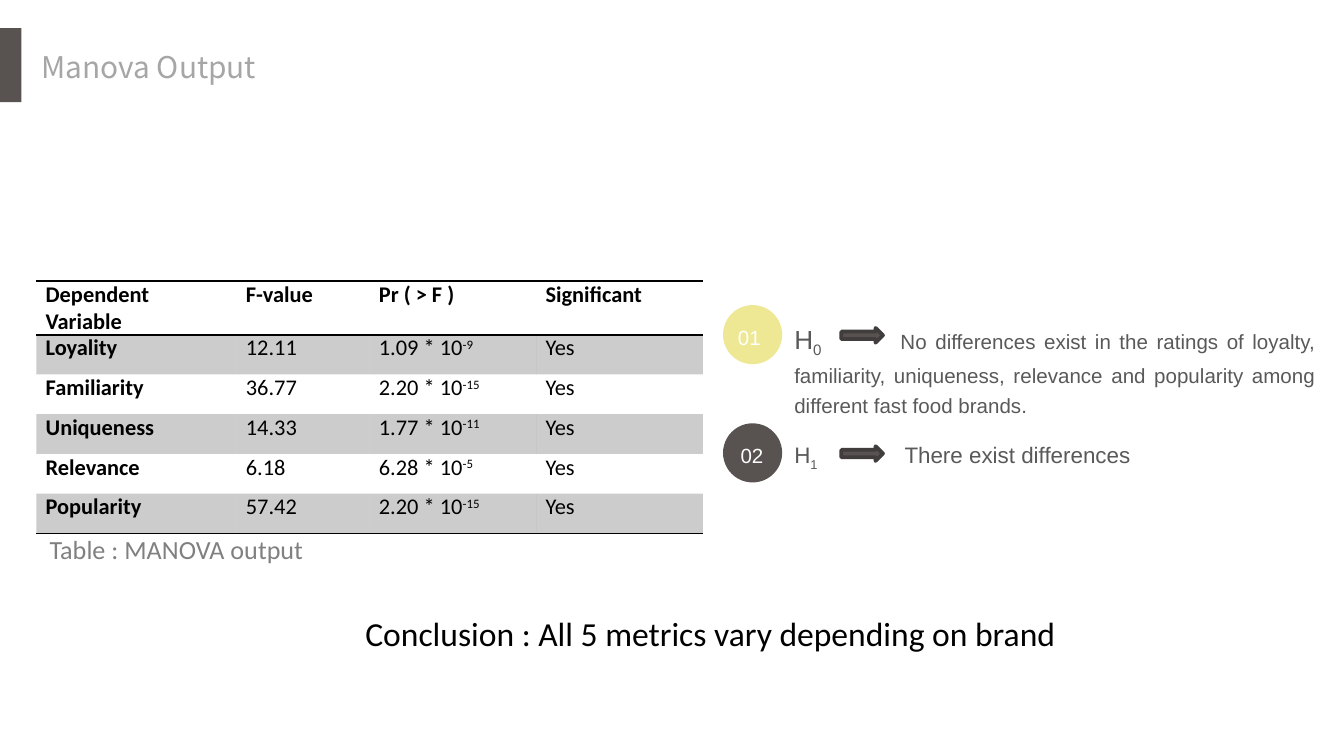
from dataclasses import dataclass
from lxml.etree import SubElement
from pptx import Presentation
from pptx.dml.color import RGBColor as RGB
from pptx.enum.shapes import MSO_SHAPE as Shape
from pptx.enum.text import MSO_ANCHOR as Anchor, MSO_AUTO_SIZE as Fit, PP_ALIGN as Align
from pptx.oxml.ns import qn
from pptx.util import Inches, Pt


@dataclass(frozen=True)
class Theme:
    dark: str = "585251"
    edge: str = "413D3C"
    lime: str = "EEE895"
    white: str = "FFFFFF"
    black: str = "000000"
    text: str = "595959"
    title: str = "A6A6A6"
    note: str = "808080"
    head: str = "Noto Sans CJK SC"
    sans: str = "Arial"
    body: str = "Calibri"
    small: float = 11
    cell: float = 12
    mid: float = 14
    large: float = 16
    huge: float = 18


@dataclass(frozen=True)
class Run:
    text: str
    size: float
    color: str
    font: str
    base: int = 0
    bold: bool = False


@dataclass(frozen=True)
class Claim:
    num: str
    top: float
    fill: str
    left: float
    box: tuple[float, float, float, float]
    tab: float
    runs: tuple[Run, ...]
    align: Align


@dataclass(frozen=True)
class Metric:
    name: str
    value: str
    base: str
    power: str


T = Theme()


def write(para, runs: tuple[Run, ...]) -> None:
    for item in runs:
        run = para.add_run()
        run.text = item.text
        font = run.font
        font.size, font.name, font.bold = Pt(item.size), item.font, item.bold
        font.color.rgb = RGB.from_string(item.color)
        if item.base:
            run._r.get_or_add_rPr().set("baseline", str(item.base * 1000))


def inset(item, side: float, end: float) -> None:
    item.margin_left = item.margin_right = Inches(side)
    item.margin_top = item.margin_bottom = Inches(end)


def label(slide, box: tuple[float, float, float, float], runs: tuple[Run, ...],
          wrap: bool = False, pad: tuple[float, float] = (0.1, 0.05),
          space: float = 1, align: Align = Align.LEFT, tab: float = 0,
          anchor: Anchor = Anchor.TOP) -> None:
    frame = slide.shapes.add_textbox(*map(Inches, box)).text_frame
    frame.word_wrap, frame.vertical_anchor = wrap, anchor
    frame.auto_size = Fit.SHAPE_TO_FIT_TEXT
    inset(frame, *pad)
    para = frame.paragraphs[0]
    if tab:
        tabs = SubElement(para._p.get_or_add_pPr(), qn("a:tabLst"))
        SubElement(tabs, qn("a:tab"), pos=str(Inches(tab)), algn="l")
    para.line_spacing, para.alignment = space, align
    write(para, runs)


def block(slide, kind: Shape, box: tuple[float, float, float, float],
          fill: str, line: str = "") -> None:
    shape = slide.shapes.add_shape(kind, *map(Inches, box))
    shape.shadow.inherit = False
    shape.fill.solid()
    shape.fill.fore_color.rgb = RGB.from_string(fill)
    if line:
        shape.line.color.rgb = RGB.from_string(line)
        shape.line.width = Pt(2)
    else:
        shape.line.fill.background()


def state(slide, claim: Claim) -> None:
    block(slide, Shape.OVAL, (5.38, claim.top, 0.44, 0.44), claim.fill)
    label(slide, claim.box, claim.runs, True, (0, 0), 1.2, claim.align, claim.tab)
    label(slide, (claim.left, claim.top + 0.12, 0.18, 0.2),
          (Run(claim.num, T.small, T.white, T.sans),),
          pad=(0, 0), space=1.2, anchor=Anchor.MIDDLE)
    block(slide, Shape.RIGHT_ARROW, (6.26, claim.top + 0.17, 0.31, 0.11), T.dark, T.edge)


def rule(cell, edges: str) -> None:
    props = cell._tc.get_or_add_tcPr()
    for edge in edges:
        line = SubElement(props, qn(f"a:ln{edge}"), w=str(Pt(1)))
        SubElement(SubElement(line, qn("a:solidFill")), qn("a:srgbClr"), val=T.black)


def shade(cell) -> None:
    cell.fill.solid()
    cell.fill.fore_color.rgb = RGB.from_string(T.black)
    color = cell._tc.tcPr.find(f"{qn('a:solidFill')}/{qn('a:srgbClr')}")
    SubElement(color, qn("a:alpha"), val="20000")


def grid(slide, heads: tuple[str, ...], data: tuple[Metric, ...]) -> None:
    count = len(data)
    table = slide.shapes.add_table(count + 1, len(heads), *map(Inches, (0.27, 2.09, 4.96, 1.88))).table
    table.first_row = table.horz_banding = False
    table._tbl.tblPr.find(qn("a:tableStyleId")).text = "{2D5ABB26-0587-4C30-8999-92F81FD0307C}"
    for col, wide in zip(table.columns, (1.49, 0.99, 1.24, 1.24)):
        col.width = Inches(wide)

    def word(text: str, bold: bool = False, base: int = 0) -> Run:
        return Run(text, T.cell, T.black, T.body, base, bold)

    rows = [[(word(head, True),) for head in heads]]
    rows += [[(word(m.name, True),), (word(m.value),),
              (word(m.base + " * 10"), word(m.power, base=30)), (word("Yes"),)] for m in data]
    for i, row in enumerate(rows):
        table.rows[i].height = Inches(1.48 / count if i else 0.34)
        for j, runs in enumerate(row):
            cell = table.cell(i, j)
            inset(cell, 0.07, 0)
            write(cell.text_frame.paragraphs[0], runs)
            rule(cell, "TB" if i == 0 else "B" if i == count else "")
            if i % 2:
                shade(cell)
            else:
                cell.fill.background()


def main() -> None:
    deck = Presentation()
    deck.slide_width, deck.slide_height = Inches(10), Inches(10 * 9 / 16)
    slide = deck.slides.add_slide(deck.slide_layouts[5])
    block(slide, Shape.RECTANGLE, (0, 0.21, 0.16, 0.55), T.dark)
    title = slide.shapes.title
    title.left, title.top, title.width, title.height = map(Inches, (0.23, 0.32, 1.85, 0.35))
    frame = title.text_frame
    frame.word_wrap, frame.auto_size = False, Fit.SHAPE_TO_FIT_TEXT
    frame.vertical_anchor = Anchor.TOP
    inset(frame, 0.08, 0.04)
    frame.paragraphs[0].alignment = Align.LEFT
    write(frame.paragraphs[0], (Run("Manova Output", T.large, T.title, T.head),))

    null = (Run("H", T.mid, T.text, T.sans), Run("0", T.mid, T.text, T.sans, -25),
            Run("\tNo differences exist in the ratings of loyalty, familiarity, uniqueness, "
                "relevance and popularity among different fast food brands.", T.small, T.text, T.sans))
    other = (Run("H", T.cell, T.text, T.sans), Run("1", T.cell, T.text, T.sans, -25),
             Run("\tThere exist differences", T.cell, T.text, T.sans))
    for claim in (
        Claim("02", 3.15, T.dark, 5.51, (5.91, 3.24, 3.68, 0.22), 0.82, other, Align.LEFT),
        Claim("01", 2.27, T.lime, 5.49, (5.91, 2.35, 3.88, 0.73), 0.79, null, Align.JUSTIFY),
    ):
        state(slide, claim)

    label(slide, (0.27, 3.92, 2.11, 0.34), (Run("Table : MANOVA output", T.mid, T.note, T.body),))
    label(slide, (2.62, 4.51, 5.4, 0.4),
          (Run("Conclusion : All 5 metrics vary depending on brand", T.huge, T.black, T.body),))
    grid(slide, ("Dependent Variable", "F-value", "Pr ( > F )", "Significant"), (
        Metric("Loyality", "12.11", "1.09", "-9"),
        Metric("Familiarity", "36.77", "2.20", "-15"),
        Metric("Uniqueness", "14.33", "1.77", "-11"),
        Metric("Relevance", "6.18", "6.28", "-5"),
        Metric("Popularity", "57.42", "2.20", "-15"),
    ))
    deck.save("out.pptx")


if __name__ == "__main__":
    main()
